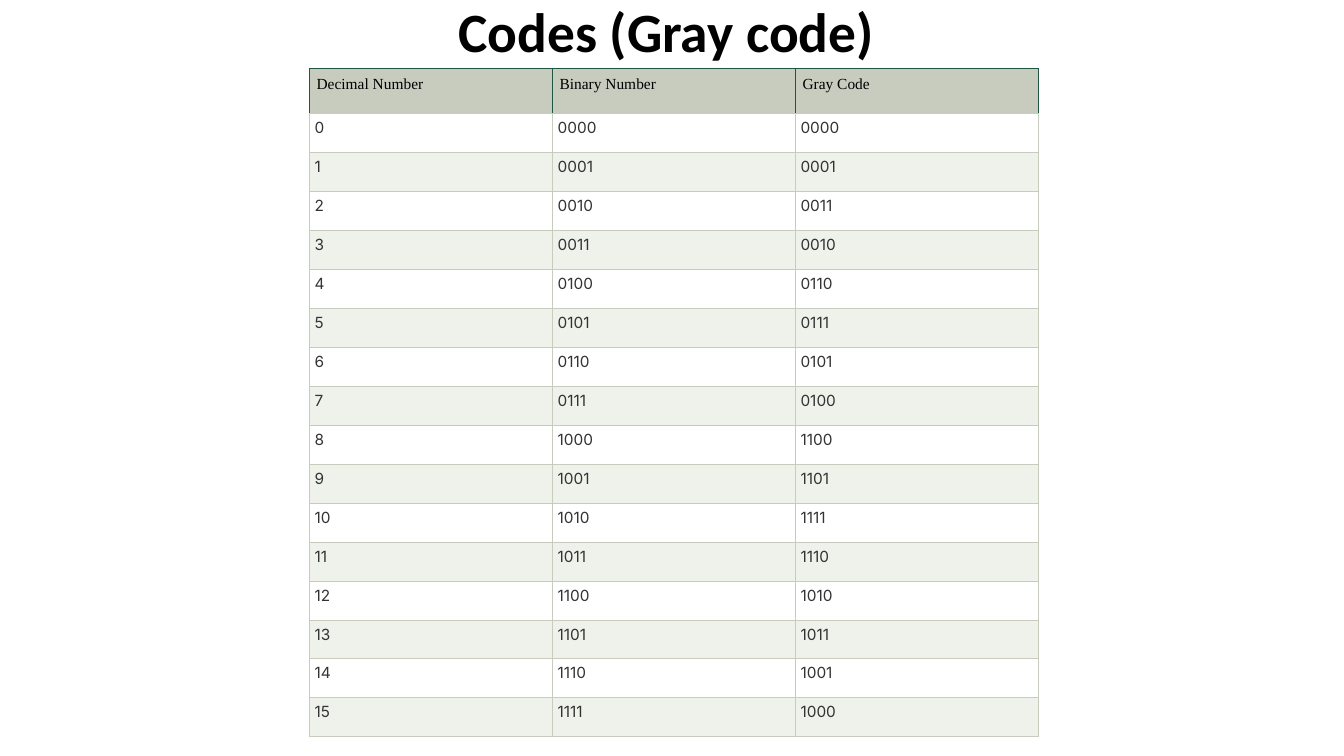
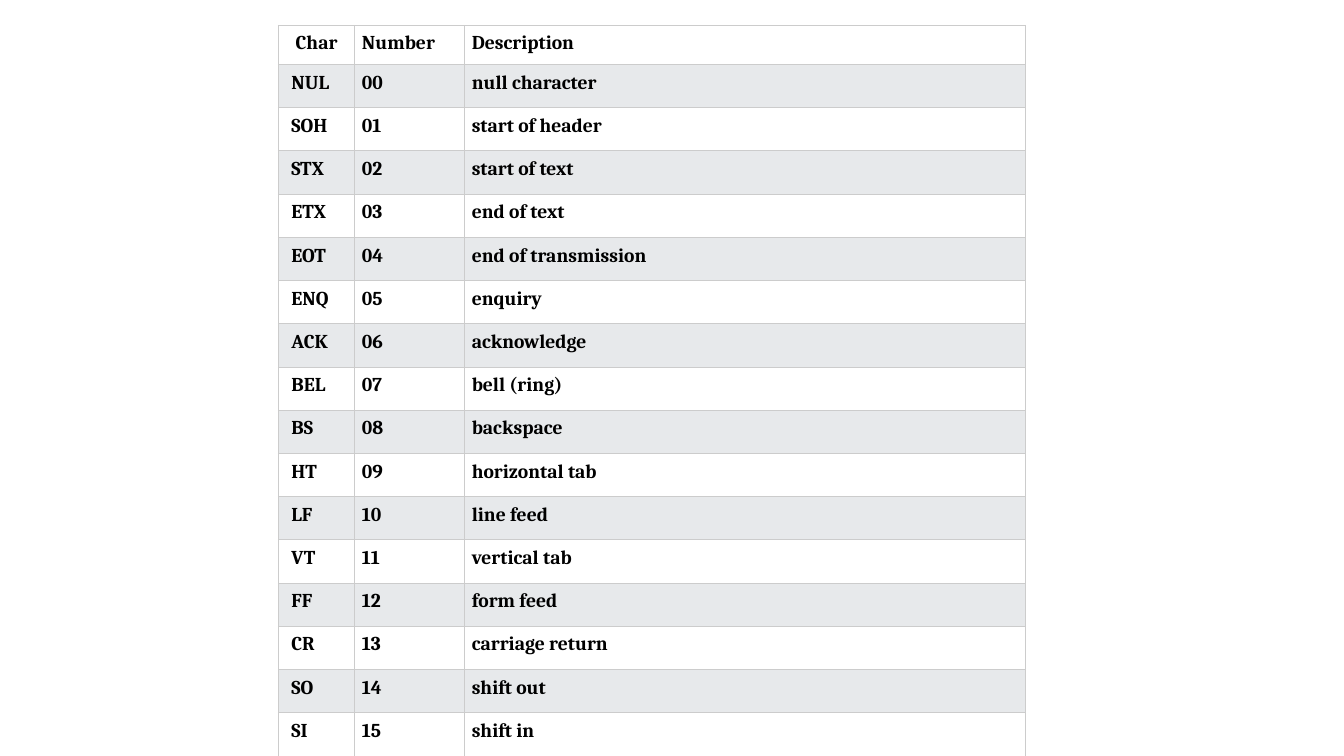
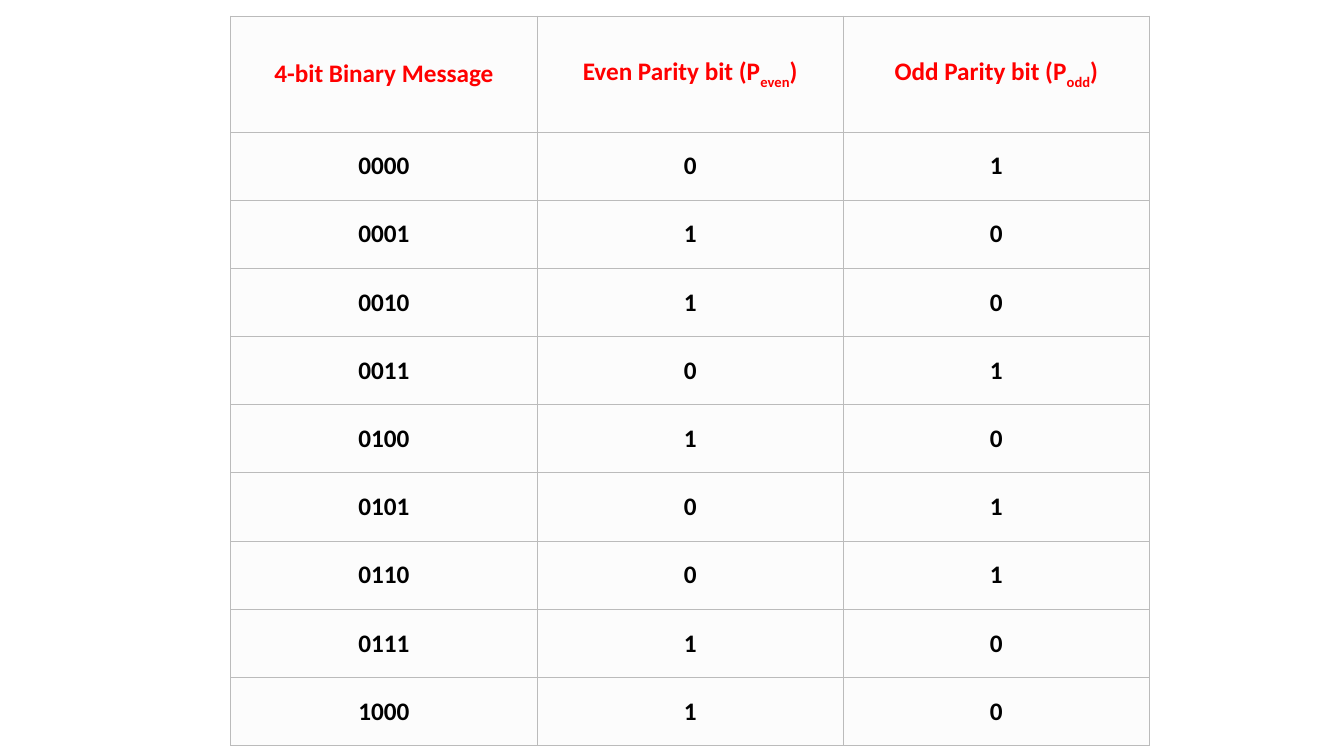
"""Three slides of code tables: Gray code, ASCII control characters and parity bits."""
from lxml import etree
from pptx import Presentation
from pptx import util as u
from pptx.dml.color import RGBColor
from pptx.enum import text
from pptx.oxml import ns

BLACK = RGBColor(0x00, 0x00, 0x00)
WHITE = RGBColor(0xFF, 0xFF, 0xFF)
CHARCOAL = RGBColor(0x33, 0x33, 0x33)
RED = RGBColor(0xFF, 0x00, 0x00)
SAGE = RGBColor(0xC7, 0xCC, 0xBE)
PALE_SAGE = RGBColor(0xEF, 0xF1, 0xEB)
FOREST = RGBColor(0x20, 0x56, 0x41)
MIST = RGBColor(0xE7, 0xE9, 0xEB)
SILVER = RGBColor(0xCC, 0xCC, 0xCC)
LIGHT_SILVER = RGBColor(0xDD, 0xDD, 0xDD)
GREY = RGBColor(0xBB, 0xBB, 0xBB)
OFF_WHITE = RGBColor(0xFC, 0xFC, 0xFC)

SLIDE_SIZE = (13.33, 7.5)
TITLE = "Codes (Gray code) "
TITLE_BOX = (0.92, 0, 11.5, 0.68)
TITLE_ONLY, BLANK = 5, 6

GRAY_CODES = [("Decimal Number", "Binary Number", "Gray Code")] + [
    (str(n), f"{n:04b}", f"{n ^ (n >> 1):04b}") for n in range(16)
]
CONTROL_NAMES = [
    ("NUL", "null character"),
    ("SOH", "start of header"),
    ("STX", "start of text"),
    ("ETX", "end of text"),
    ("EOT", "end of transmission"),
    ("ENQ", "enquiry"),
    ("ACK", "acknowledge"),
    ("BEL", "bell (ring)"),
    ("BS", "backspace"),
    ("HT", "horizontal tab"),
    ("LF", "line feed"),
    ("VT", "vertical tab"),
    ("FF", "form feed"),
    ("CR", "carriage return"),
    ("SO", "shift out"),
    ("SI", "shift in"),
]
CONTROL_CODES = [(" Char", "Number", "Description")] + [
    (char, f"{n:02d}", meaning) for n, (char, meaning) in enumerate(CONTROL_NAMES)
]
PARITY_BITS = [
    ("4-bit Binary Message", ("Even Parity bit (P", "even", ")"), ("Odd Parity bit (P", "odd", ")"))
] + [
    (f"{n:04b}", str(ones % 2), str(1 - ones % 2))
    for n, ones in ((n, f"{n:b}".count("1")) for n in range(9))
]

ASCII_STYLE = dict(font="Cambria", size=14, color=BLACK, bold=True, inset=0.07,
                   first_inset=0.13, fills=[WHITE], line=SILVER)
PARITY_STYLE = dict(font="Calibri", size=18, color=BLACK, bold=True, inset=0.06,
                    fills=[OFF_WHITE], line=GREY, align=text.PP_ALIGN.CENTER,
                    anchor=text.MSO_ANCHOR.MIDDLE)

TABLES = [
    dict(title=TITLE, rows=GRAY_CODES, box=(3.07, 0.68, 7.23, 6.63), shares=(1, 1, 1),
         header_height=0.45,
         header=dict(font="Times New Roman", size=11, color=BLACK, inset=0.07,
                     fills=[SAGE], line=FOREST, bottom=SAGE),
         body=dict(font="Inter", size=11, color=CHARCOAL, inset=0.05,
                   fills=[WHITE, PALE_SAGE], line=SAGE, align=text.PP_ALIGN.JUSTIFY)),
    dict(rows=CONTROL_CODES, box=(2.76, 0.25, 7.41, 7.25), shares=(0.76, 1.09, 5.56),
         header_height=0.39, header=ASCII_STYLE,
         body=ASCII_STYLE | dict(fills=[MIST, WHITE]), last=dict(bottom=LIGHT_SILVER)),
    dict(rows=PARITY_BITS, box=(2.29, 0.16, 9.11, 7.24), shares=(1, 1, 1),
         header_height=1.15, header=PARITY_STYLE | dict(color=RED), body=PARITY_STYLE),
]


def set_font(font, name, size, color, bold):
    font.name, font.size, font.bold = name, u.Pt(size), bold
    font.color.rgb = color


def add_border(cell, side, color):
    line = etree.SubElement(cell._tc.get_or_add_tcPr(), ns.qn(f"a:ln{side}"), w=str(u.Pt(0.75)))
    fill = etree.SubElement(line, ns.qn("a:solidFill"))
    etree.SubElement(fill, ns.qn("a:srgbClr"), val=str(color))


def fill_cell(cell, content, style, fill, left_inset):
    for side in "LRTB":
        add_border(cell, side, style.get("bottom", style["line"]) if side == "B" else style["line"])
    cell.fill.solid()
    cell.fill.fore_color.rgb = fill
    cell.margin_left = u.Inches(left_inset)
    cell.margin_right = cell.margin_top = cell.margin_bottom = u.Inches(style["inset"])
    cell.vertical_anchor = style.get("anchor", text.MSO_ANCHOR.TOP)
    paragraph = cell.text_frame.paragraphs[0]
    paragraph.alignment = style.get("align", text.PP_ALIGN.LEFT)
    pieces = (content,) if isinstance(content, str) else content
    for i, piece in enumerate(pieces):
        run = paragraph.add_run()
        run.text = piece
        set_font(run.font, style["font"], style["size"], style["color"], style.get("bold", False))
        if i == 1:
            run._r.get_or_add_rPr().set("baseline", "-25000")


def add_code_table(slide, rows, box, shares, header_height, header, body, last=None):
    frame = slide.shapes.add_table(len(rows), len(shares), *map(u.Inches, box))
    table = frame.table
    table.first_row = table.horz_banding = False
    width, height = box[2:]
    for column, share in zip(table.columns, shares):
        column.width = u.Inches(width * share / sum(shares))
    body_height = (height - header_height) / (len(rows) - 1)
    for r, contents in enumerate(rows):
        table.rows[r].height = u.Inches(body_height if r else header_height)
        style = body if r else header
        if last and r == len(rows) - 1:
            style = style | last
        fill = style["fills"][(r - 1) % len(style["fills"])]
        for c, content in enumerate(contents):
            left = style["inset"] if c else style.get("first_inset", style["inset"])
            fill_cell(table.cell(r, c), content, style, fill, left)


def set_title(slide, wording):
    title = slide.shapes.title
    title.left, title.top, title.width, title.height = map(u.Inches, TITLE_BOX)
    title.text_frame.auto_size = text.MSO_AUTO_SIZE.NONE
    title.text_frame.vertical_anchor = text.MSO_ANCHOR.MIDDLE
    paragraph = title.text_frame.paragraphs[0]
    paragraph.alignment, paragraph.line_spacing = text.PP_ALIGN.CENTER, 0.9
    run = paragraph.add_run()
    run.text = wording
    set_font(run.font, "Calibri", 39.6, BLACK, True)


def main():
    deck = Presentation()
    deck.slide_width, deck.slide_height = map(u.Inches, SLIDE_SIZE)
    for plan in TABLES:
        wording = plan.get("title")
        slide = deck.slides.add_slide(deck.slide_layouts[TITLE_ONLY if wording else BLANK])
        if wording:
            set_title(slide, wording)
        add_code_table(slide, **{key: part for key, part in plan.items() if key != "title"})
    deck.save("out.pptx")


if __name__ == "__main__":
    main()
